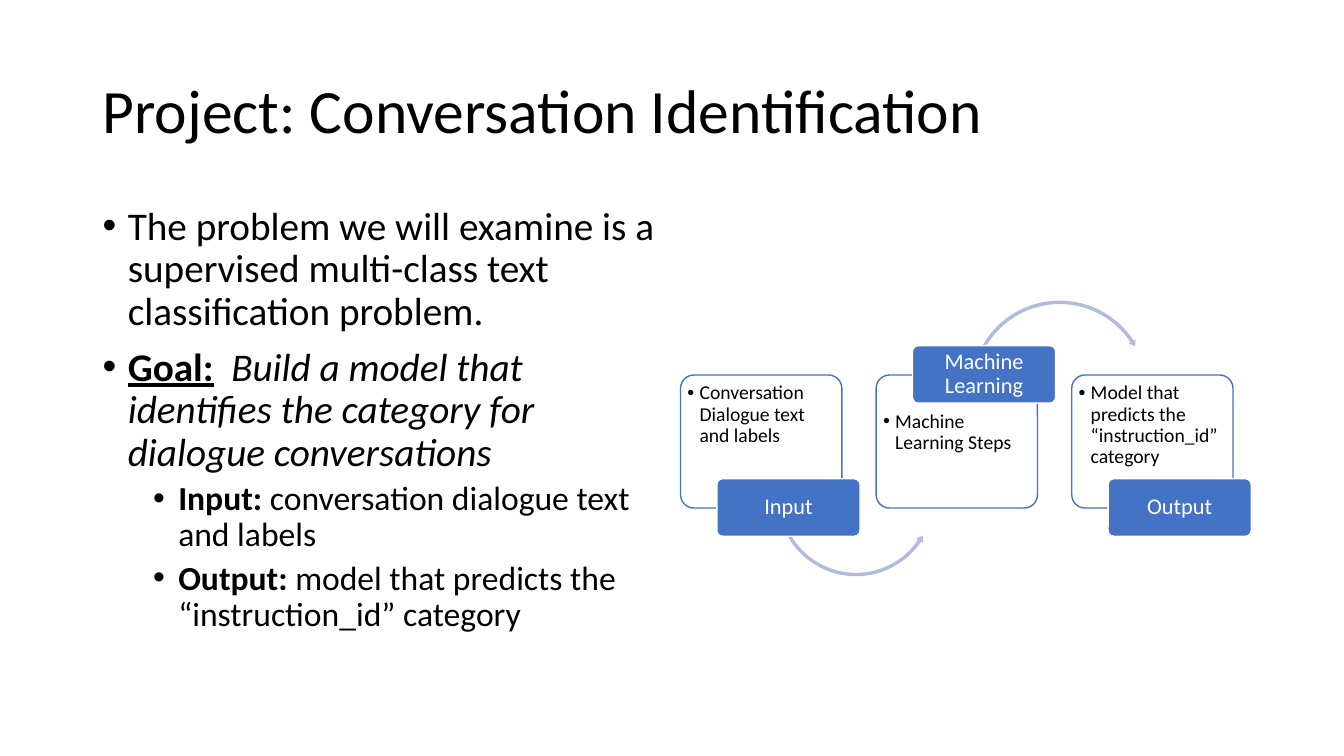
from dataclasses import dataclass

from lxml import etree
from pptx import Presentation
from pptx.dml.color import RGBColor
from pptx.enum.shapes import MSO_SHAPE
from pptx.enum.text import MSO_ANCHOR, PP_ALIGN
from pptx.oxml.ns import qn
from pptx.util import Inches, Pt

ROUNDED = MSO_SHAPE.ROUNDED_RECTANGLE
ARC_BELOW = MSO_SHAPE.LEFT_CIRCULAR_ARROW
ARC_ABOVE = MSO_SHAPE.CIRCULAR_ARROW
TOP, MIDDLE = MSO_ANCHOR.TOP, MSO_ANCHOR.MIDDLE
LEFT, CENTER = PP_ALIGN.LEFT, PP_ALIGN.CENTER


@dataclass(frozen=True)
class Theme:
    font: str = "Calibri"
    black: RGBColor = RGBColor(0x00, 0x00, 0x00)
    white: RGBColor = RGBColor(0xFF, 0xFF, 0xFF)
    blue: RGBColor = RGBColor(0x44, 0x72, 0xC4)
    pale_blue: RGBColor = RGBColor(0xB0, 0xBC, 0xDE)
    title: int = 44
    body: int = 28
    detail: int = 24
    label: int = 16
    panel: int = 14


theme = Theme()


def write(para, spans, size, color, indent=0, hanging=0, before=0, align=LEFT):
    para.alignment = align
    para.line_spacing = 0.9
    para.space_before = Pt(before)
    if hanging:
        properties = para._p.get_or_add_pPr()
        properties.set("marL", str(Inches(indent)))
        properties.set("indent", str(-Inches(hanging)))
        etree.SubElement(properties, qn("a:buFont"), typeface="Arial")
        etree.SubElement(properties, qn("a:buChar"), char="•")
    for text, style in spans:
        span = para.add_run()
        span.text = text
        font = span.font
        font.name, font.size, font.color.rgb = theme.font, Pt(size), color
        font.bold = "b" in style
        font.italic = "i" in style
        font.underline = "u" in style


def add_shape(kind, left, top, width, height, adjustments, fill, line=None):
    shape = page.shapes.add_shape(kind, Inches(left), Inches(top), Inches(width), Inches(height))
    shape.shadow.inherit = False
    for index, value in enumerate(adjustments):
        shape.adjustments[index] = value
    shape.fill.solid()
    shape.fill.fore_color.rgb = fill
    if line is None:
        shape.line.fill.background()
    else:
        shape.line.color.rgb = line
        shape.line.width = Pt(1)
    return shape


deck = Presentation()
deck.slide_width, deck.slide_height = Inches(13.33), Inches(7.5)
page = deck.slides.add_slide(deck.slide_layouts[6])

title = page.shapes.add_textbox(Inches(0.92), Inches(0.4), Inches(11.5), Inches(1.45)).text_frame
title.word_wrap = True
title.vertical_anchor = MIDDLE
write(title.paragraphs[0], [("Project: Conversation Identification", "")], theme.title, theme.black)

body = page.shapes.add_textbox(Inches(0.92), Inches(2), Inches(5.67), Inches(4.76)).text_frame
body.word_wrap = True
points = [
    (0, [("The problem we will examine is a supervised multi-class text classification problem.", "")]),
    (0, [("Goal:", "bu"),
         ("  Build a model that identifies the category for dialogue conversations", "i")]),
    (1, [("Input:", "b"), (" conversation dialogue text and labels", "")]),
    (1, [("Output:", "b"), (" model that predicts the “instruction_id” category", "")]),
]
for number, (level, spans) in enumerate(points):
    para = body.add_paragraph() if number else body.paragraphs[0]
    para.level = level
    size, indent, before = [(theme.body, 0.25, 10), (theme.detail, 0.75, 5)][level]
    write(para, spans, size, theme.black, indent, 0.25, before)

steps = [
    ("Input", "Conversation Dialogue text and labels", 4.75, 0.04,
     (ARC_BELOW, 7.69, 4.14, 1.6, 1.6, (0.021, 2.533, 20.288, 90.245, 0.025))),
    ("Machine Learning", "Machine Learning Steps", 3.43, 0.32,
     (ARC_ABOVE, 9.61, 2.96, 1.8, 1.8, (0.019, 2.234, 196.011, 125.755, 0.022))),
    ("Output", "Model that predicts the “instruction_id” category", 4.75, 0.04, None),
]
for number, (name, detail, label_top, text_top, arc) in enumerate(steps):
    left = 6.75 + 1.94 * number
    panel = add_shape(ROUNDED, left, 3.72, 1.6, 1.32, [0.1], theme.white, theme.blue)
    color = panel._element.spPr.find(qn("a:solidFill"))[0]
    etree.SubElement(color, qn("a:alpha"), val="90000")
    if arc:
        add_shape(*arc, theme.pale_blue)
    label = add_shape(ROUNDED, left + 0.36, label_top, 1.42, 0.57, [0.1], theme.blue, theme.white)
    for shape, anchor, margin_top in [(panel, TOP, text_top), (label, MIDDLE, 0.02)]:
        frame = shape.text_frame
        frame.word_wrap = True
        frame.vertical_anchor = anchor
        frame.margin_left = frame.margin_right = Inches(0.03)
        frame.margin_top, frame.margin_bottom = Inches(margin_top), Inches(0.02)
    write(panel.text_frame.paragraphs[0], [(detail, "")], theme.panel, theme.black, 0.12, 0.12)
    write(label.text_frame.paragraphs[0], [(name, "")], theme.label, theme.white, align=CENTER)

deck.save("out.pptx")
